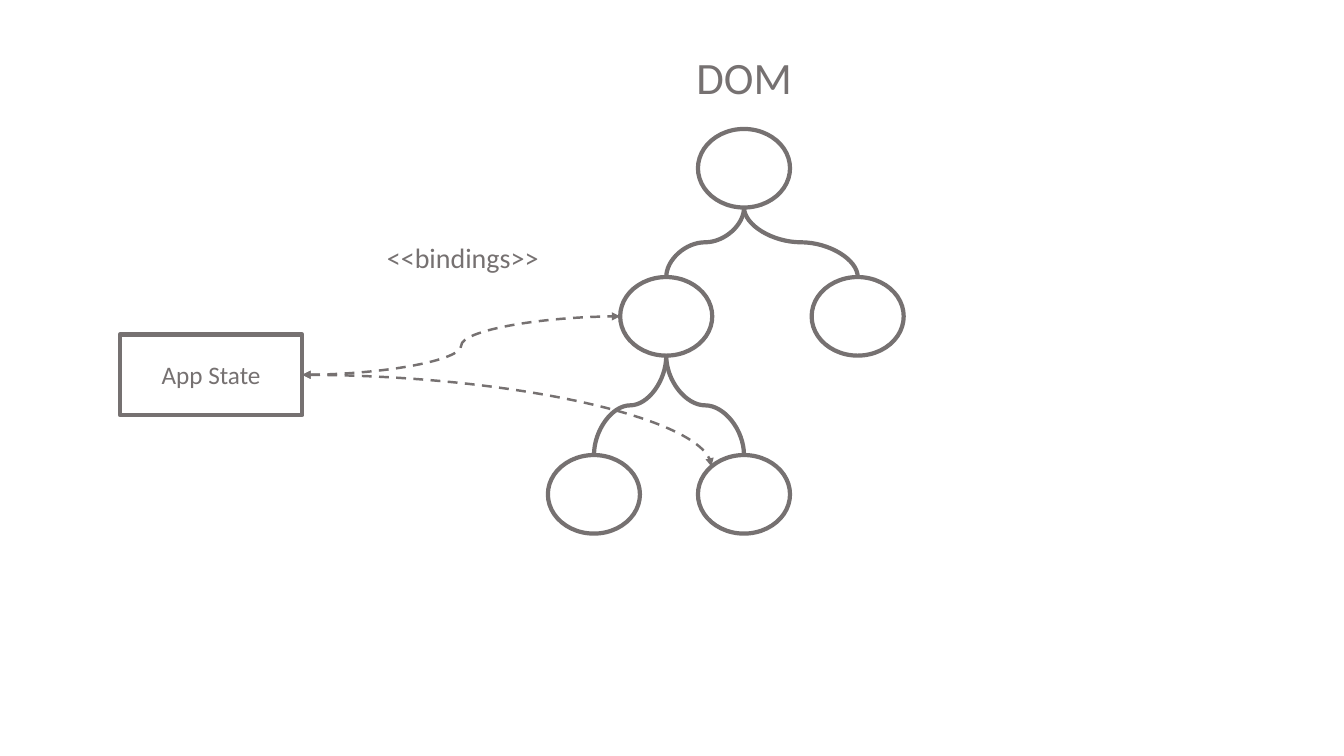
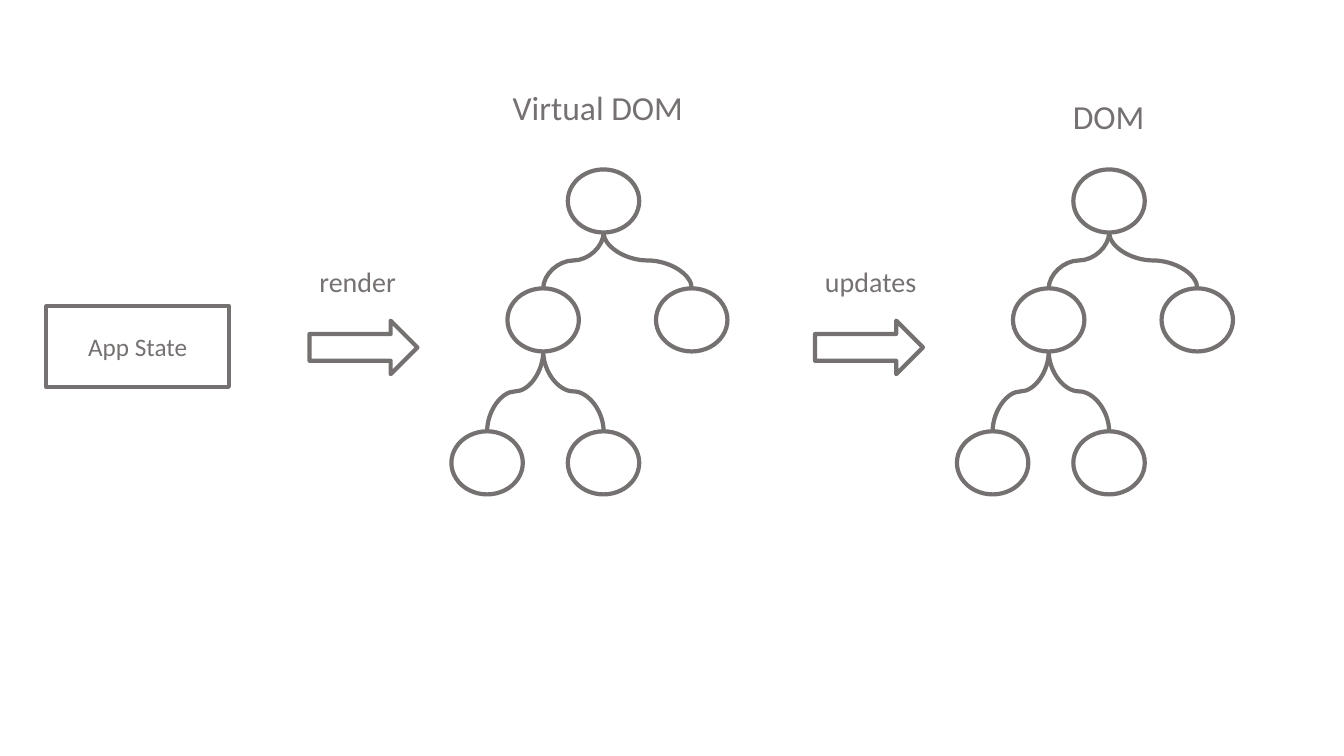
from lxml.etree import SubElement
from pptx import Presentation
from pptx.dml.color import RGBColor
from pptx.enum.dml import MSO_LINE
from pptx.enum.shapes import MSO_CONNECTOR, MSO_SHAPE
from pptx.enum.text import MSO_ANCHOR, MSO_AUTO_SIZE, PP_ALIGN
from pptx.oxml.ns import qn
from pptx.util import Cm, Pt

GREY, WHITE, FONT = "767171", "FFFFFF", "Calibri"
OUTLINE, BINDING = 3, 1.75

NODES = {
    "root": (0, 0),
    "left": (-0.845, 1.885),
    "right": (1.235, 1.885),
    "left leaf": (-1.63, 4.15),
    "right leaf": (0, 4.15),
}
BRANCHES = [("root", "left"), ("root", "right"), ("left", "left leaf"), ("left", "right leaf")]
ELLIPSE_TOP, ELLIPSE_TOP_LEFT, ELLIPSE_LEFT, ELLIPSE_BOTTOM = 0, 1, 2, 4
RECT_RIGHT = 3
DIAGONAL = 0.5 ** 0.5

STATE_SIZE = (4.6, 2.03)
BINDINGS_SLIDE = {
    "state": (3.02, 8.43),
    "root": (17.59, 3.25),
    "node": (2.32, 1.98),
    "heading": ("DOM", 32, (17.3, 1.14, 3.15, 1.62)),
    "label": ("<<bindings>>", 20, (9.5, 5.94, 4.5, 1.12)),
}
RENDER_SLIDE = {
    "state": (1.17, 7.72),
    "root": (14.31, 4.27),
    "node": (1.8, 1.59),
    "arrow": (7.8, 8.08, 2.72, 1.35),
    "label": (7.8, 6.53, 2.87, 1.12),
    "pitch": 12.74,
    "stages": [
        ("render", "Virtual DOM", (12.67, 2.06, 5.18, 1.27), PP_ALIGN.LEFT),
        ("updates", "DOM", (25.35, 2.29, 5.18, 1.27), PP_ALIGN.CENTER),
    ],
}


def colour(value):
    return RGBColor.from_string(value)


def write(frame, words, size, align):
    frame.word_wrap = True
    paragraph = frame.paragraphs[0]
    paragraph.alignment = align
    run = paragraph.add_run()
    run.text = words
    run.font.name, run.font.size = FONT, Pt(size)
    run.font.color.rgb = colour(GREY)


def add_label(slide, words, size, box, align=PP_ALIGN.LEFT):
    frame = slide.shapes.add_textbox(*map(Cm, box)).text_frame
    write(frame, words, size, align)
    frame.auto_size = MSO_AUTO_SIZE.SHAPE_TO_FIT_TEXT


def add_outlined(shapes, kind, box):
    outlined = shapes.add_shape(kind, *map(Cm, box))
    outlined.shadow.inherit = False
    outlined.fill.solid()
    outlined.fill.fore_color.rgb = colour(WHITE)
    outlined.line.color.rgb = colour(GREY)
    outlined.line.width = Pt(OUTLINE)
    return outlined


def add_state(slide, corner):
    state = add_outlined(slide.shapes, MSO_SHAPE.RECTANGLE, (*corner, *STATE_SIZE))
    state.text_frame.vertical_anchor = MSO_ANCHOR.MIDDLE
    write(state.text_frame, "App State", 18, PP_ALIGN.CENTER)
    return state


def add_curve(shapes, start, end, width, ends):
    curve = shapes.add_connector(MSO_CONNECTOR.CURVE, *start, *end)
    curve.line.color.rgb = colour(GREY)
    curve.line.width = Pt(width)
    SubElement(curve.element.spPr, qn("a:effectLst"))
    glue = curve.element.find(".//" + qn("p:cNvCxnSpPr"))
    for tag, (joined, site) in zip(("a:stCxn", "a:endCxn"), ends):
        SubElement(glue, qn(tag), id=str(joined.shape_id), idx=str(site))
    return curve


def add_branch(shapes, parent, child):
    start = (parent.left + parent.width // 2, parent.top + parent.height)
    end = (child.left + child.width // 2, child.top)
    branch = add_curve(shapes, start, end, OUTLINE,
                       [(parent, ELLIPSE_BOTTOM), (child, ELLIPSE_TOP)])
    run, drop = abs(end[0] - start[0]), end[1] - start[1]
    branch.left = (start[0] + end[0] - drop) // 2
    branch.top = (start[1] + end[1] - run) // 2
    branch.width, branch.height = drop, run
    turn = branch.element.spPr.find(qn("a:xfrm"))
    goes_left = end[0] < start[0]
    turn.set("rot", str((90 if goes_left else 270) * 60000))
    turn.set("flipH", "0" if goes_left else "1")


def add_tree(shapes, root, node):
    tree = {
        name: add_outlined(shapes, MSO_SHAPE.OVAL,
                           (root[0] + across * node[0], root[1] + down * node[1], *node))
        for name, (across, down) in NODES.items()
    }
    for parent, child in BRANCHES:
        add_branch(shapes, tree[parent], tree[child])
    return tree


def add_binding(slide, state, node, site, end, preset):
    start = (state.left + state.width, state.top + state.height // 2)
    binding = add_curve(slide.shapes, start, end, BINDING, [(state, RECT_RIGHT), (node, site)])
    binding.line.dash_style = MSO_LINE.DASH
    outline = binding.element.spPr.find(qn("a:ln"))
    for tag in ("a:headEnd", "a:tailEnd"):
        SubElement(outline, qn(tag), type="triangle")
    binding.element.spPr.find(qn("a:prstGeom")).set("prst", preset)


def build_bindings(slide, content):
    tree = add_tree(slide.shapes, content["root"], content["node"])
    add_label(slide, *content["heading"])
    state = add_state(slide, content["state"])
    left, leaf = tree["left"], tree["right leaf"]
    left_side = (left.left, left.top + left.height // 2)
    inset = (1 - DIAGONAL) / 2
    leaf_shoulder = (leaf.left + int(leaf.width * inset), leaf.top + int(leaf.height * inset))
    add_binding(slide, state, left, ELLIPSE_LEFT, left_side, "curvedConnector3")
    add_binding(slide, state, leaf, ELLIPSE_TOP_LEFT, leaf_shoulder, "curvedConnector2")
    add_label(slide, *content["label"])


def build_render(slide, content):
    add_state(slide, content["state"])
    for index, (action, heading, heading_box, align) in enumerate(content["stages"]):
        shift = index * content["pitch"]

        def moved(place):
            return (place[0] + shift, *place[1:])

        add_tree(slide.shapes.add_group_shape().shapes, moved(content["root"]), content["node"])
        add_label(slide, heading, 24, heading_box, align)
        add_outlined(slide.shapes, MSO_SHAPE.RIGHT_ARROW, moved(content["arrow"]))
        add_label(slide, action, 20, moved(content["label"]))


deck = Presentation()
deck.slide_width, deck.slide_height = Cm(33.87), Cm(19.05)
for build, content in ((build_bindings, BINDINGS_SLIDE), (build_render, RENDER_SLIDE)):
    build(deck.slides.add_slide(deck.slide_layouts[6]), content)
deck.save("out.pptx")
